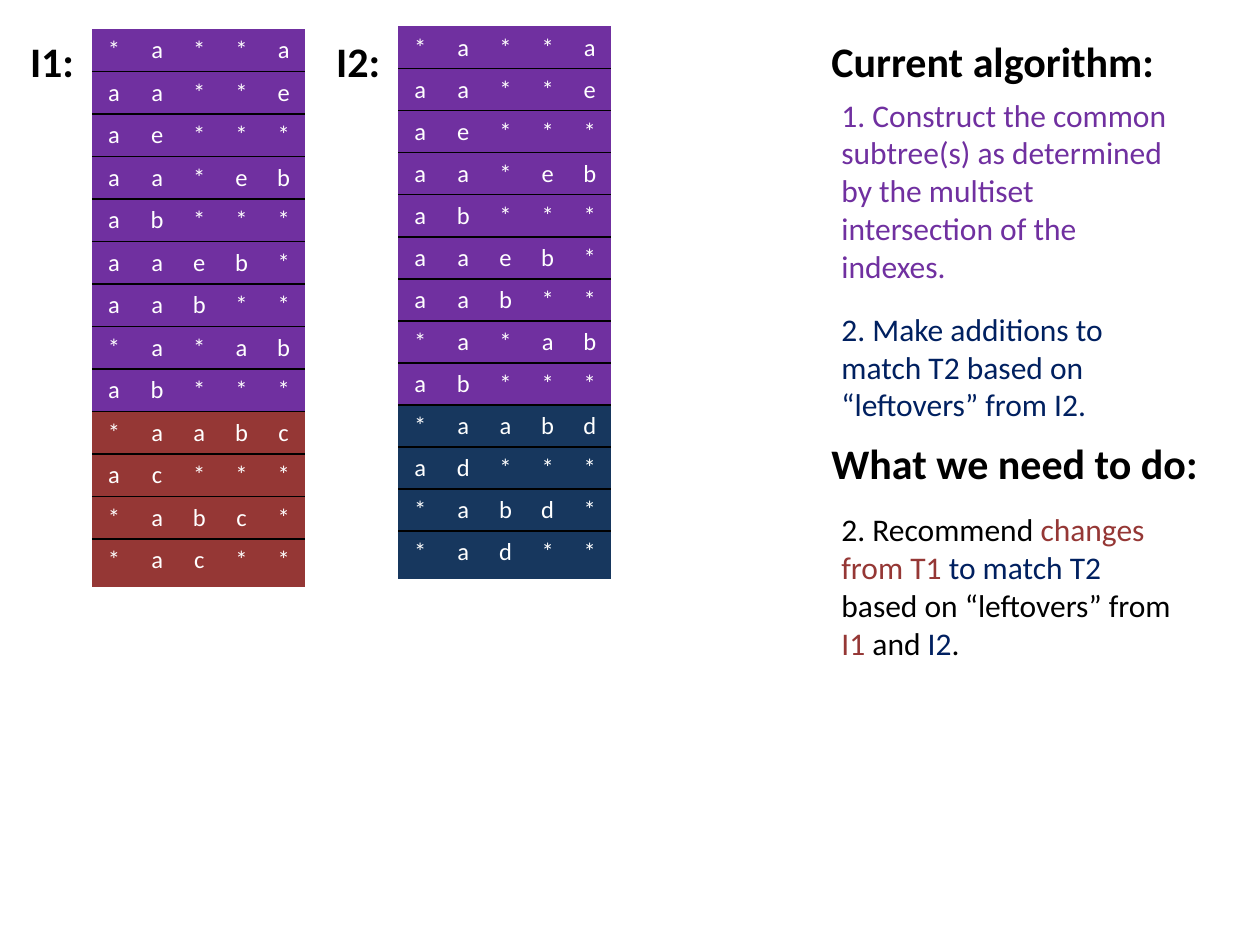
from lxml import etree
from pptx import Presentation
from pptx.dml.color import RGBColor
from pptx.enum.text import MSO_AUTO_SIZE, PP_ALIGN
from pptx.oxml import parse_xml
from pptx.util import Inches, Pt

CENTER = PP_ALIGN.CENTER
GROW = MSO_AUTO_SIZE.SHAPE_TO_FIT_TEXT
FONT = "Calibri"
COLORS = {
    "black": "000000",
    "white": "FFFFFF",
    "common": "7030A0",
    "only_i1": "953735",
    "only_i2": "17375E",
    "navy": "002060",
}
NS = "http://schemas.openxmlformats.org/drawingml/2006/main"
PLAIN_TABLE = "{2D5ABB26-0587-4C30-8999-92F81FD0307C}"
COMMON_ROWS = ["*a**a", "aa**e", "ae***", "aa*eb", "ab***",
               "aaeb*", "aab**", "*a*ab", "ab***"]
LEFTOVER_ROWS = ["*aab{}", "a{}***", "*ab{}*", "*a{}**"]


def style_run(r, size, color, bold=False):
    r.font.name = FONT
    r.font.size = Pt(size)
    r.font.bold = bold
    r.font.color.rgb = RGBColor.from_string(COLORS[color])


def add_text(s, box, parts, size=18, bold=False):
    sp = s.shapes.add_textbox(*map(Inches, box))
    tf = sp.text_frame
    tf.word_wrap = True
    tf.auto_size = GROW
    for text, color in parts:
        r = tf.paragraphs[0].add_run()
        r.text = text
        style_run(r, size, color, bold)


def add_heading(s, box, text):
    add_text(s, box, [(text, "black")], 24, True)


def add_border(cell, side):
    cell._tc.get_or_add_tcPr().insert(0, parse_xml(
        f'<a:{side} xmlns:a="{NS}" w="12700"><a:solidFill>'
        f'<a:srgbClr val="{COLORS["black"]}"/></a:solidFill></a:{side}>'))


def fill_cell(cell, text, color):
    cell.margin_top = Inches(0.05)
    cell.margin_bottom = Inches(0.04)
    cell.fill.solid()
    cell.fill.fore_color.rgb = RGBColor.from_string(COLORS[color])
    cell.text = text
    p = cell.text_frame.paragraphs[0]
    p.alignment = CENTER
    style_run(p.runs[0], 14, "white")


def add_index(s, box, label, letter, color):
    left, top, width, height = box
    rows = [(row, "common") for row in COMMON_ROWS]
    rows += [(row.format(letter), color) for row in LEFTOVER_ROWS]
    last = len(rows) - 1
    frame = s.shapes.add_table(len(rows), 5, *map(Inches, box))
    table = frame.table
    table.first_row = table.horz_banding = False
    table._tbl.tblPr.find(etree.QName(NS, "tableStyleId").text).text = PLAIN_TABLE

    for i, column in enumerate(table.columns):
        column.width = Inches(0.35 if i == 0 else (width - 0.35) / 4)
    last_height = 0.38
    for i, (row, fill) in enumerate(rows):
        table.rows[i].height = Inches(
            last_height if i == last else (height - last_height) / last)
        for j, letter_text in enumerate(row):
            cell = table.cell(i, j)
            fill_cell(cell, letter_text, fill)
            if i < last:
                add_border(cell, "lnB")
            if i > 0:
                add_border(cell, "lnT")
    add_heading(s, (left - 0.59, 0.23, 0.61, 0.5), label)


def add_algorithm(s, left, top):
    add_heading(s, (left, top, 3.33, 0.5), "Current algorithm:")
    add_text(s, (left + 0.08, top + 0.48, 2.83, 1.62), [
        ("1. Construct the common subtree(s) as determined by the multiset "
         "intersection of the indexes.", "common")])
    add_text(s, (left + 0.08, top + 2.18, 2.83, 1.01), [
        ("2. Make additions to match T2 based on “leftovers” from I2.", "navy")])


def add_next_steps(s, left, top):
    add_heading(s, (left, top, 3.33, 0.5), "What we need to do:")
    add_text(s, (left + 0.08, top + 0.58, 2.83, 1.31), [
        ("2. Recommend", "black"),
        (" changes from T1 ", "only_i1"),
        ("to match T2 ", "navy"),
        ("based on “leftovers” from ", "black"),
        ("I1 ", "only_i1"),
        ("and ", "black"),
        ("I2", "navy"),
        (".", "black")])


prs = Presentation()
prs.slide_width = Inches(10)
prs.slide_height = Inches(7.5)
s = prs.slides.add_slide(prs.slide_layouts[6])
add_index(s, (0.73, 0.23, 1.69, 4.43), "I1:", "c", "only_i1")
add_index(s, (3.16, 0.21, 1.69, 4.39), "I2:", "d", "only_i2")
add_algorithm(s, 6.5, 0.23)
add_next_steps(s, 6.5, 3.42)
prs.save("out.pptx")
